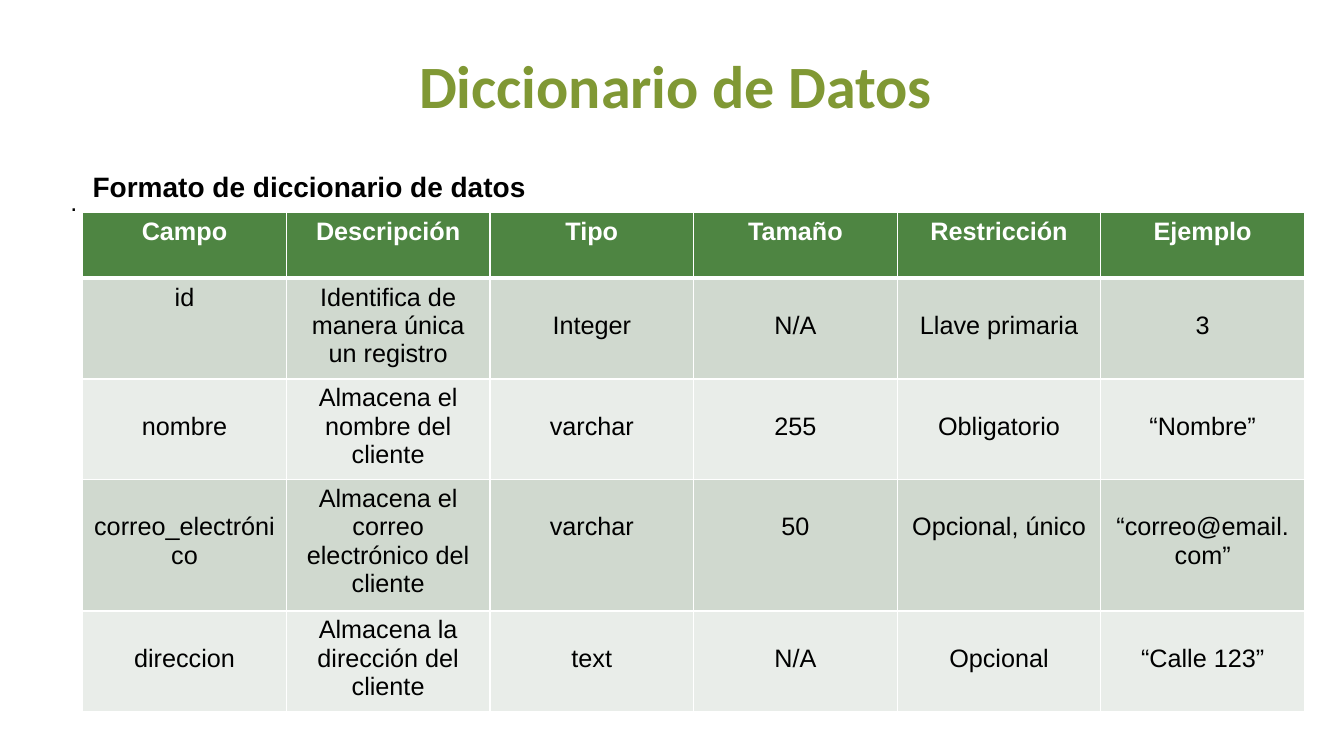
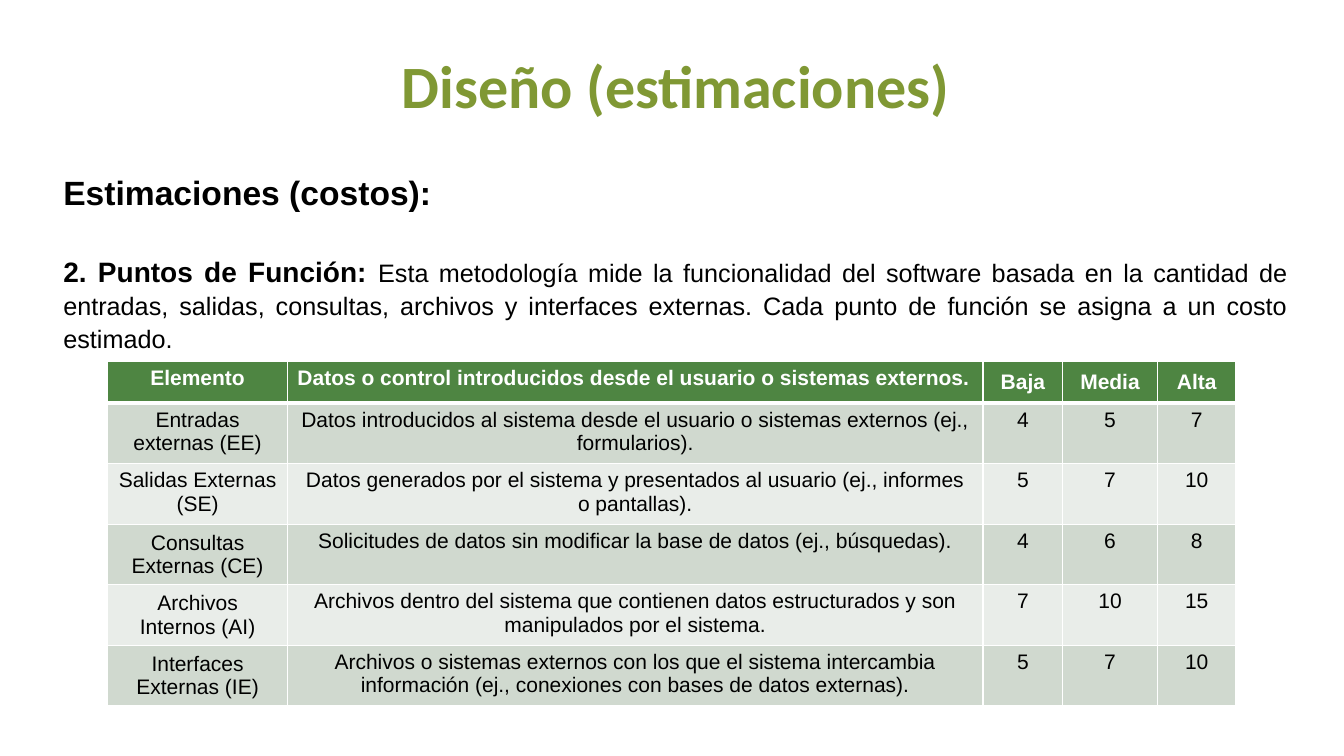
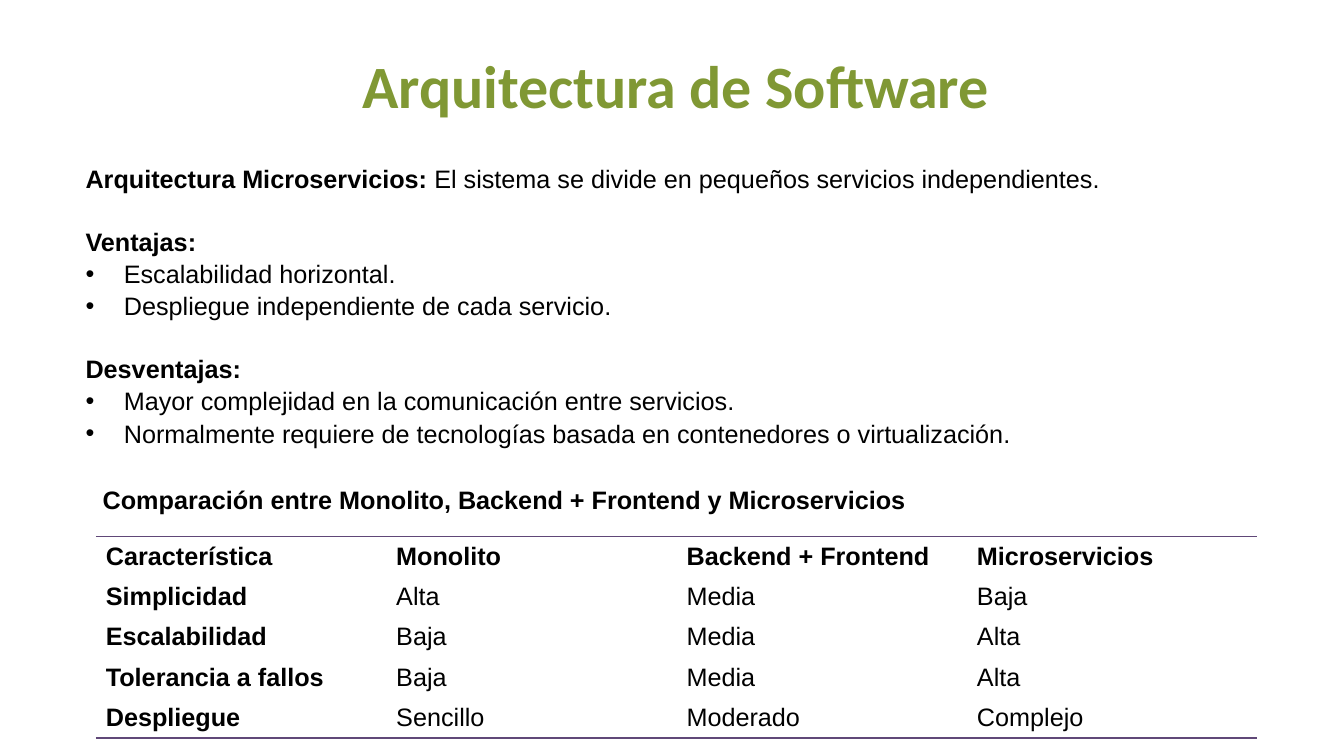
from lxml import etree
from pptx import Presentation
from pptx.dml.color import RGBColor
from pptx.enum import text
from pptx.oxml import ns
from pptx.util import Inches, Pt

# Shared style
GREEN_TITLE = RGBColor(0x80, 0x98, 0x34)
GREEN_HEAD = RGBColor(0x4E, 0x85, 0x42)
GREEN_BAND = RGBColor(0xD0, 0xD9, 0xCF)
GRAY_BAND = RGBColor(0xE9, 0xED, 0xE9)
PURPLE = RGBColor(0x60, 0x48, 0x78)
WHITE = RGBColor(0xFF, 0xFF, 0xFF)
BLACK = RGBColor(0, 0, 0)
SPACING = 1.07
NO_STYLE = "{2D5ABB26-0587-4C30-8999-92F81FD0307C}"
LEFT, CENTER, JUSTIFY = (text.PP_ALIGN.LEFT, text.PP_ALIGN.CENTER,
                         text.PP_ALIGN.JUSTIFY)
TOP, MIDDLE = text.MSO_ANCHOR.TOP, text.MSO_ANCHOR.MIDDLE

# Slide 1 content
DICTIONARY = [
    ["Campo", "Descripción", "Tipo", "Tamaño", "Restricción", "Ejemplo"],
    ["id", "Identifica de manera única un registro", "Integer", "N/A",
     "Llave primaria", "3"],
    ["nombre", "Almacena el nombre del cliente", "varchar", "255",
     "Obligatorio", "“Nombre”"],
    ["correo_electrónico", "Almacena el correo electrónico del cliente",
     "varchar", "50", "Opcional, único", "“correo@email.com”"],
    ["direccion", "Almacena la dirección del cliente", "text", "N/A",
     "Opcional", "“Calle 123”"],
]

# Slide 2 content: paragraphs are (runs, paragraph format)
COSTS = [
    ([("Estimaciones (costos):", dict(size=24, bold=True))], {}),
    ([("2. Puntos de Función: ", dict(size=20, bold=True)),
      ("Esta metodología mide la funcionalidad del software basada en la "
       "cantidad de entradas, salidas, consultas, archivos y interfaces "
       "externas. Cada punto de función se asigna a un costo estimado.", {})],
     dict(before=28.7)),
]
FUNCTION_POINTS = [
    ["Elemento",
     "Datos o control introducidos desde el usuario o sistemas externos.",
     "Baja", "Media", "Alta"],
    ["Entradas externas (EE)",
     "Datos introducidos al sistema desde el usuario o sistemas externos "
     "(ej., formularios).", "4", "5", "7"],
    ["Salidas Externas (SE)",
     "Datos generados por el sistema y presentados al usuario (ej., informes "
     "o pantallas).", "5", "7", "10"],
    ["Consultas Externas (CE)",
     "Solicitudes de datos sin modificar la base de datos (ej., búsquedas).",
     "4", "6", "8"],
    ["Archivos Internos (AI)",
     "Archivos dentro del sistema que contienen datos estructurados y son "
     "manipulados por el sistema.", "7", "10", "15"],
    ["Interfaces Externas (IE)",
     "Archivos o sistemas externos con los que el sistema intercambia "
     "información (ej., conexiones con bases de datos externas).",
     "5", "7", "10"],
]

# Slide 3 content
BOLD = dict(bold=True)
MICROSERVICES = [
    ([("Arquitectura Microservicios:", BOLD),
      (" El sistema se divide en pequeños servicios independientes.", {})], {}),
    ([("Ventajas:", BOLD)], dict(before=21.6)),
    ([("Escalabilidad horizontal.", {})], dict(bullet=True)),
    ([("Despliegue independiente de cada servicio.", {})], dict(bullet=True)),
    ([("Desventajas:", BOLD)], dict(before=21.6)),
    ([("Mayor complejidad en la comunicación entre servicios.", {})],
     dict(bullet=True)),
    ([("Normalmente requiere de tecnologías basada en contenedores o "
       "virtualización.", {})], dict(bullet=True)),
]
COMPARISON = [
    ["Característica", "Monolito", "Backend + Frontend", "Microservicios"],
    ["Simplicidad", "Alta", "Media", "Baja"],
    ["Escalabilidad", "Baja", "Media", "Alta"],
    ["Tolerancia a fallos", "Baja", "Media", "Alta"],
    ["Despliegue", "Sencillo", "Moderado", "Complejo"],
]


def add_run(p, words, size=18, font="Arial", color=BLACK, bold=False):
    r = p.add_run()
    r.text = words
    r.font.size, r.font.name, r.font.bold = Pt(size), font, bold
    r.font.color.rgb = color


def add_bullet(p, indent=0.38):
    pPr = p._p.get_or_add_pPr()
    pPr.set("marL", str(Inches(indent)))
    pPr.set("indent", str(-Inches(indent)))
    etree.SubElement(pPr, ns.qn("a:buFont")).set("typeface", "Arial")
    etree.SubElement(pPr, ns.qn("a:buChar")).set("char", "•")


def add_slide(prs, title):
    s = prs.slides.add_slide(prs.slide_layouts[5])
    sp = s.shapes.title
    sp.left, sp.top, sp.width, sp.height = map(Inches, (2.2, 0.38, 9, 1.25))
    tf = sp.text_frame
    tf.auto_size = text.MSO_AUTO_SIZE.NONE
    tf.vertical_anchor = TOP
    p = tf.paragraphs[0]
    p.alignment, p.line_spacing = CENTER, SPACING
    add_run(p, title, size=42.9, font="Calibri", color=GREEN_TITLE, bold=True)
    return s


def add_text(s, box, paragraphs, align=LEFT, anchor=TOP, wrap=True):
    tf = s.shapes.add_textbox(*map(Inches, box)).text_frame
    tf.word_wrap, tf.vertical_anchor = wrap, anchor
    for i, (runs, fmt) in enumerate(paragraphs):
        p = tf.add_paragraph() if i else tf.paragraphs[0]
        p.alignment, p.line_spacing = align, SPACING
        if "before" in fmt:
            p.space_before = Pt(fmt["before"])
        if fmt.get("bullet"):
            add_bullet(p)
        for words, look in runs:
            add_run(p, words, **look)


def set_borders(cell, borders):
    """Draw the given sides; borders maps L, R, T, B to (colour, points)."""
    tcPr = cell._tc.get_or_add_tcPr()
    for i, side in enumerate("LRTB"):
        ln = etree.Element(ns.qn("a:ln" + side))
        if side in borders:
            color, width = borders[side]
            ln.set("w", str(Pt(width)))
            fill = etree.SubElement(ln, ns.qn("a:solidFill"))
            etree.SubElement(fill, ns.qn("a:srgbClr")).set("val", str(color))
        else:
            etree.SubElement(ln, ns.qn("a:noFill"))
        tcPr.insert(i, ln)


def add_table(s, left, top, widths, heights, rows, style_cell):
    """style_cell(cell, r, c) formats a cell and returns its run format."""
    box = map(Inches, (left, top, sum(widths), sum(heights)))
    table = s.shapes.add_table(len(rows), len(widths), *box).table
    table.first_row = table.horz_banding = False
    table._tbl.tblPr.find(ns.qn("a:tableStyleId")).text = NO_STYLE
    for col, width in zip(table.columns, widths):
        col.width = Inches(width)
    for r, (row, height) in enumerate(zip(rows, heights)):
        table.rows[r].height = Inches(height)
        for c, words in enumerate(row):
            cell = table.cell(r, c)
            look = style_cell(cell, r, c)
            add_run(cell.text_frame.paragraphs[0], words, **look)


def style_banded(cell, r):
    cell.fill.solid()
    cell.fill.fore_color.rgb = (GREEN_HEAD if r == 0 else
                                GREEN_BAND if r % 2 else GRAY_BAND)
    set_borders(cell, {"L": (WHITE, 1), "R": (WHITE, 1),
                       "T": (WHITE, 3 if r == 1 else 1),
                       "B": (WHITE, 1 if r else 3)})
    cell.text_frame.paragraphs[0].alignment = CENTER
    return dict(color=BLACK if r else WHITE, bold=r == 0)


def style_dictionary(cell, r, c):
    # Short values start on the second line of the description
    if r > 0 and c != 1 and (r, c) != (1, 0):
        cell.margin_top = Inches(0.33)
    return style_banded(cell, r)


def style_points(cell, r, c):
    look = style_banded(cell, r)
    if (r == 0 and c >= 2) or (r >= 3 and c == 0):
        cell.vertical_anchor = MIDDLE
    if (r, c) == (0, 1):
        cell.text_frame.paragraphs[0].alignment = LEFT
    return dict(look, size=15)


def style_comparison(cell, r, c):
    cell.fill.background()
    cell.vertical_anchor = MIDDLE
    edges = {0: "T", len(COMPARISON) - 1: "B"}
    set_borders(cell, {edges[r]: (PURPLE, 1)} if r in edges else {})
    return dict(bold=r == 0 or c == 0)


def main():
    prs = Presentation()
    prs.slide_width, prs.slide_height = Inches(13.33), Inches(7.5)

    # Data dictionary
    s = add_slide(prs, "Diccionario de Datos")
    add_text(s, (0.6, 1.78, 12.13, 0.4), [([(".", {})], {})])
    add_text(s, (0.82, 1.61, 12.13, 0.45),
             [([("Formato de diccionario de datos",
                 dict(size=20, bold=True))], {})])
    add_table(s, 0.82, 2.11, [2.02] * 6, [0.65, 1, 1, 1.3, 1],
              DICTIONARY, style_dictionary)

    # Function points
    s = add_slide(prs, "Diseño (estimaciones)")
    add_text(s, (0.53, 1.63, 12.34, 1.9), COSTS, align=JUSTIFY)
    add_table(s, 1.07, 3.59, [1.78, 6.9, 0.79, 0.94, 0.78],
              [0.41] + [0.6] * 5, FUNCTION_POINTS, style_points)

    # Microservices
    s = add_slide(prs, "Arquitectura de Software")
    add_text(s, (0.75, 1.55, 11.51, 3), MICROSERVICES, align=JUSTIFY)
    add_table(s, 0.95, 5.32, [2.88] * 4, [0.4] * 5,
              COMPARISON, style_comparison)
    add_text(s, (0.92, 4.74, 8.25, 0.4),
             [([("Comparación entre Monolito, Backend + Frontend y "
                 "Microservicios", BOLD)], {})], anchor=MIDDLE, wrap=False)

    prs.save("out.pptx")


if __name__ == "__main__":
    main()
